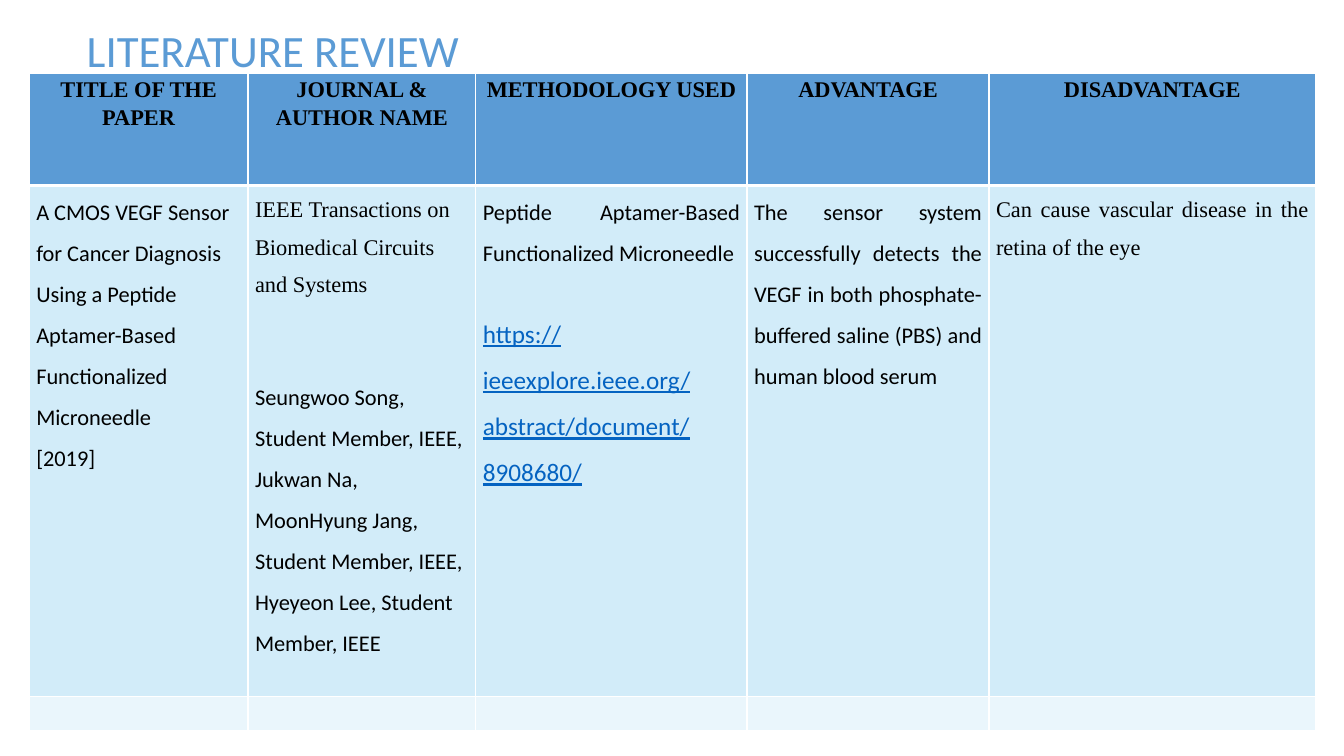
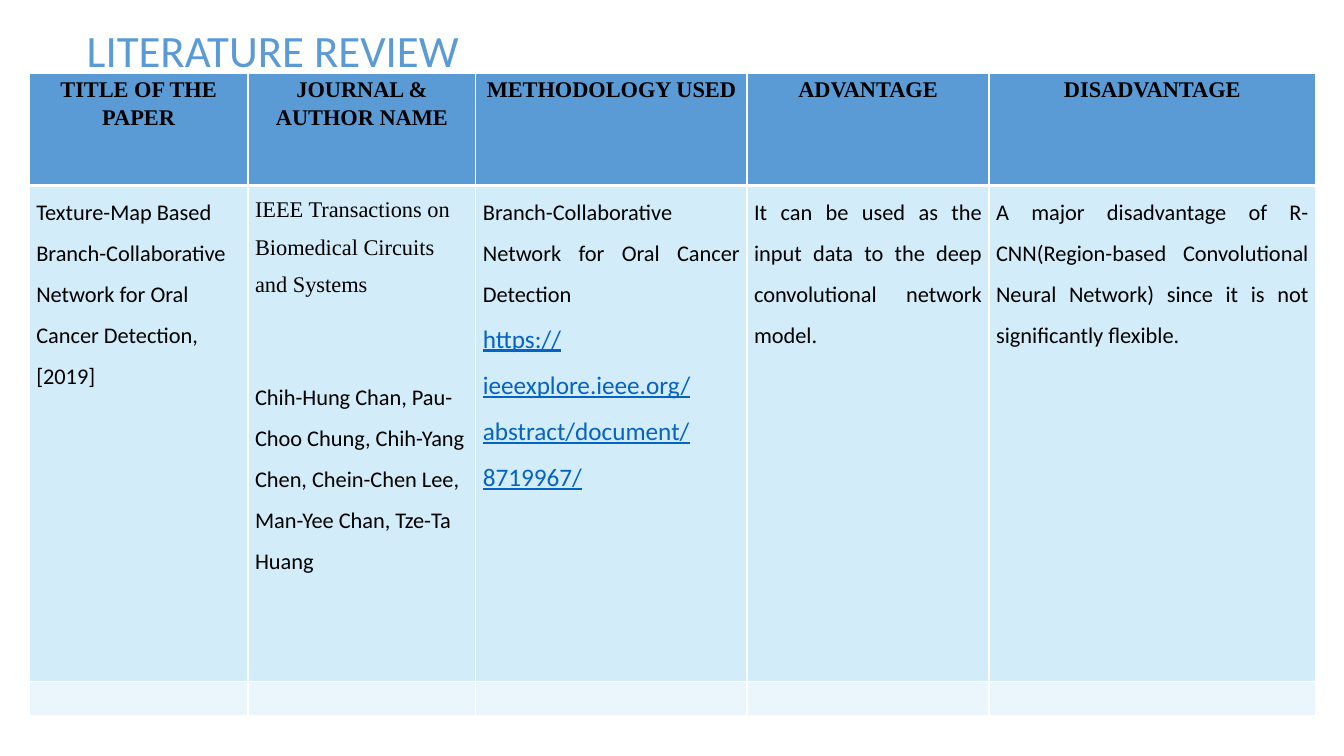
from lxml.etree import SubElement
from pptx import Presentation
from pptx.dml.color import RGBColor
from pptx.enum.text import MSO_ANCHOR as Anchor, PP_ALIGN as Align
from pptx.oxml.ns import qn
from pptx.util import Inches, Pt

COLORS = {
    "blue": "5B9BD5",
    "pale": "D2ECF9",
    "faint": "EAF6FC",
    "white": "FFFFFF",
    "black": "000000",
    "link": "0563C1",
}
SANS, SERIF = "Calibri", "Times New Roman"
# Each text style: font, size, color, bold, underline
STYLES = {
    "title": (SANS, 32, "blue", False, False),
    "head": (SERIF, 16, "black", True, False),
    "sans": (SANS, 16, "black", False, False),
    "serif": (SERIF, 16, "black", False, False),
    "link": (SANS, 18, "link", False, True),
}
HEADS = ["TITLE OF THE PAPER", "JOURNAL & AUTHOR NAME", "METHODOLOGY USED",
         "ADVANTAGE", "DISADVANTAGE"]
WIDTHS = [2.17, 2.26, 2.69, 2.4, 3.24]
ALIGNS = [Align.LEFT] * 2 + [Align.JUSTIFY] * 3
JOURNAL = ("serif", "IEEE Transactions on Biomedical Circuits and Systems")
LINE = 26  # points taken by one line of serif body text

# Body height and cells; a paragraph is (style, text[, points before])
REVIEWS = [
    (5.07, [
        [("sans", "A CMOS VEGF Sensor for Cancer Diagnosis Using a Peptide "
                  "Aptamer-Based Functionalized Microneedle"),
         ("sans", "[2019]")],
        [JOURNAL,
         ("sans", "Seungwoo Song, Student Member, IEEE, Jukwan Na, "
                  "MoonHyung Jang, Student Member, IEEE, Hyeyeon Lee, "
                  "Student Member, IEEE", 2 * LINE)],
        [("sans", "Peptide Aptamer-Based Functionalized Microneedle "),
         ("link", "https://ieeexplore.ieee.org/abstract/document/8908680/",
          LINE)],
        [("sans", "The sensor system successfully detects the VEGF in both "
                  "phosphate-buffered saline (PBS) and human blood serum")],
        [("serif", "Can cause vascular disease in the retina of the eye")],
    ]),
    (4.92, [
        [("sans", "Texture-Map Based Branch-Collaborative Network for Oral "
                  "Cancer Detection, [2019]")],
        [JOURNAL,
         ("sans", "Chih-Hung Chan, Pau-Choo Chung, Chih-Yang Chen, "
                  "Chein-Chen Lee, Man-Yee Chan, Tze-Ta Huang", 2 * LINE)],
        [("sans", "Branch-Collaborative Network for Oral Cancer Detection"),
         ("link", "https://ieeexplore.ieee.org/abstract/document/8719967/")],
        [("sans", "It can be used as the input data to the deep "
                  "convolutional network model.")],
        [("sans", "A major disadvantage of R-CNN(Region-based Convolutional "
                  "Neural Network) since it is not significantly flexible.")],
    ]),
]


class Deck:
    def __init__(self):
        self.prs = Presentation()
        self.prs.slide_width = Inches(13.33)
        self.prs.slide_height = Inches(7.5)
        self.slide = None

    def color(self, name):
        return RGBColor.from_string(COLORS[name])

    def text(self, frame, paras, align, spacing):
        """Fill a text frame with (style, text[, points before]) items."""
        for i, (style, words, *gap) in enumerate(paras):
            para = frame.paragraphs[0] if i == 0 else frame.add_paragraph()
            para.text = words
            para.alignment = align
            para.line_spacing = spacing
            para.space_before = Pt(gap[0] if gap else 0)
            font = para.font
            font.name, size, tint, font.bold, font.underline = STYLES[style]
            font.size = Pt(size)
            font.color.rgb = self.color(tint)

    def add(self, title):
        """Start a slide with its title."""
        self.slide = self.prs.slides.add_slide(self.prs.slide_layouts[5])
        box = self.slide.shapes.title
        box.left, box.top = Inches(0.76), Inches(0.24)
        box.width, box.height = Inches(8.48), Inches(0.75)
        box.text_frame.vertical_anchor = Anchor.TOP
        self.text(box.text_frame, [("title", title)], Align.LEFT, 0.9)

    def edge(self, cell, top, base):
        """Draw white cell borders, given top and bottom widths in points."""
        props = cell._tc.get_or_add_tcPr()
        for side, width in zip("LRTB", (1, 1, top, base)):
            line = SubElement(props, qn(f"a:ln{side}"), w=str(Pt(width)))
            fill = SubElement(line, qn("a:solidFill"))
            SubElement(fill, qn("a:srgbClr"), val=COLORS["white"])

    def cell(self, cell, fill, top, base):
        cell.margin_left = cell.margin_right = Inches(0.07)
        cell.margin_top = cell.margin_bottom = 0
        self.edge(cell, top, base)
        cell.fill.solid()
        cell.fill.fore_color.rgb = self.color(fill)

    def table(self, height, body):
        rows = [(1.11, "blue", 1, 3), (height, "pale", 3, 1),
                (0.34, "faint", 1, 1)]
        total = sum(row[0] for row in rows)
        grid = self.slide.shapes.add_table(
            len(rows), len(WIDTHS), Inches(0.29), Inches(0.73),
            Inches(sum(WIDTHS)), Inches(total)).table
        for col, width in zip(grid.columns, WIDTHS):
            col.width = Inches(width)
        for row, (tall, *look) in zip(grid.rows, rows):
            row.height = Inches(tall)
            for cell in row.cells:
                self.cell(cell, *look)
        for c, (head, paras, align) in enumerate(zip(HEADS, body, ALIGNS)):
            self.text(grid.cell(0, c).text_frame, [("head", head)],
                      Align.CENTER, 1.15)
            self.text(grid.cell(1, c).text_frame, paras, align, 1.5)


def main():
    deck = Deck()
    for height, body in REVIEWS:
        deck.add("LITERATURE REVIEW")
        deck.table(height, body)
    deck.prs.save("out.pptx")


if __name__ == "__main__":
    main()
